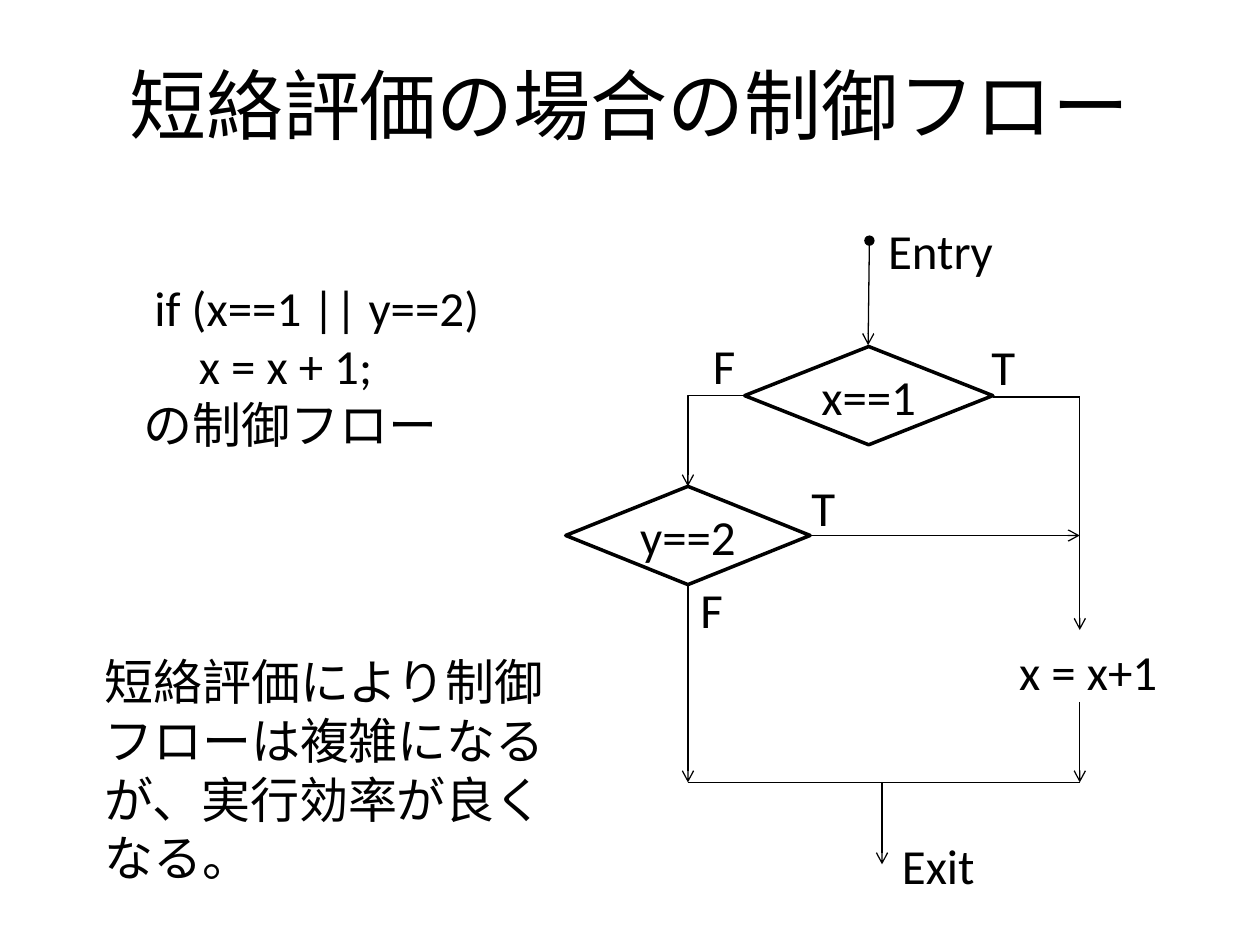
from dataclasses import dataclass

from lxml import etree
from pptx import Presentation
from pptx.dml.color import RGBColor
from pptx.enum.shapes import MSO_CONNECTOR, MSO_SHAPE
from pptx.enum.text import MSO_ANCHOR, MSO_AUTO_SIZE, PP_ALIGN
from pptx.oxml.ns import qn
from pptx.util import Inches, Pt

STRAIGHT, ELBOW = MSO_CONNECTOR.STRAIGHT, MSO_CONNECTOR.ELBOW
DIAMOND = MSO_SHAPE.DIAMOND
LEFT, CENTER = PP_ALIGN.LEFT, PP_ALIGN.CENTER
TOP, MIDDLE = MSO_ANCHOR.TOP, MSO_ANCHOR.MIDDLE
FIT_SHAPE, NO_FIT = MSO_AUTO_SIZE.SHAPE_TO_FIT_TEXT, MSO_AUTO_SIZE.NONE
SITE_TOP, SITE_LEFT = 0, 1
TITLE_ONLY = 5


@dataclass(frozen=True)
class Theme:
    font: str = "Calibri"
    ink: RGBColor = RGBColor(0, 0, 0)
    title_size: float = 44
    body_size: float = 28
    flow_width: float = 0.75
    decision_width: float = 2


@dataclass(frozen=True)
class Block:
    text: str
    left: float
    top: float
    width: float
    height: float = 0.57
    wrap: bool = False


@dataclass(frozen=True)
class Flow:
    x1: float
    y1: float
    x2: float
    y2: float
    head: str = ""
    tail: str = "arrow"


THEME = Theme()
TRUE_X, FALSE_X = 8.57, 5.46
FIRST_Y, SECOND_Y, JOIN_Y = 3.15, 4.25, 6.21

TITLE = Block("短絡評価の場合の制御フロー", 0.5, 0.3, 9, 1.04)
FIRST_TEST = Block("x==1", 5.91, 2.75, 1.97, 0.78)
SECOND_TEST = Block("y==2", 4.49, 3.86, 1.94, 0.78)

BLOCKS = (
    Block(" if (x==1 || y==2)\n     x = x + 1;\nの制御フロー", 1.04, 2.15, 2.99, 1.51),
    Block("Entry", 6.95, 1.7, 1.06),
    Block("F", 5.56, 2.61, 0.38),
    Block("T", 7.77, 2.62, 0.39),
    Block("T", 6.34, 3.74, 0.39),
    Block("F", FALSE_X, 4.55, 0.38),
    Block("x = x+1", 7.99, 5.04, 1.31),
    Block("Exit", 7.06, 6.58, 0.79),
    Block("短絡評価により制御フローは複雑になるが、実行効率が良くなる。",
          0.73, 5.12, 3.91, 1.51, wrap=True),
)

FLOWS = (
    Flow(6.9, 1.91, 6.89, 2.74, head="oval"),
    Flow(7.88, FIRST_Y, TRUE_X, FIRST_Y, tail=""),
    Flow(TRUE_X, FIRST_Y, TRUE_X, 5),
    Flow(6.43, SECOND_Y, TRUE_X, SECOND_Y),
    Flow(FALSE_X, 4.64, FALSE_X, JOIN_Y),
    Flow(TRUE_X, 5.57, TRUE_X, JOIN_Y),
    Flow(FALSE_X, JOIN_Y, TRUE_X, JOIN_Y, tail=""),
    Flow(7, JOIN_Y, 7, 6.86),
)


def bounds(block: Block) -> tuple:
    return tuple(map(Inches, (block.left, block.top, block.width, block.height)))


def write_text(frame, text: str, *, size: float = THEME.body_size,
               align=LEFT, anchor=TOP, wrap: bool = True, fit=NO_FIT) -> None:
    frame.word_wrap = wrap
    frame.auto_size = fit
    frame.vertical_anchor = anchor
    for index, line in enumerate(text.split("\n")):
        para = frame.add_paragraph() if index else frame.paragraphs[0]
        para.alignment = align
        span = para.add_run()
        span.text = line
        span.font.name = THEME.font
        span.font.size = Pt(size)
        span.font.color.rgb = THEME.ink


def add_title(page, block: Block) -> None:
    title = page.shapes.title
    title.left, title.top, title.width, title.height = bounds(block)
    write_text(title.text_frame, block.text, size=THEME.title_size,
               align=CENTER, anchor=MIDDLE)


def add_block(page, block: Block) -> None:
    box = page.shapes.add_textbox(*bounds(block))
    write_text(box.text_frame, block.text, wrap=block.wrap, fit=FIT_SHAPE)


def add_decision(page, block: Block):
    diamond = page.shapes.add_shape(DIAMOND, *bounds(block))
    diamond.shadow.inherit = False
    diamond.fill.background()
    diamond.line.color.rgb = THEME.ink
    diamond.line.width = Pt(THEME.decision_width)
    write_text(diamond.text_frame, block.text, align=CENTER, anchor=MIDDLE)
    return diamond


def add_flow(page, flow: Flow, kind=STRAIGHT):
    ends = map(Inches, (flow.x1, flow.y1, flow.x2, flow.y2))
    connector = page.shapes.add_connector(kind, *ends)
    connector.line.color.rgb = THEME.ink
    connector.line.width = Pt(THEME.flow_width)
    properties = connector._element.spPr
    line = properties.find(qn("a:ln"))
    for tag, style in (("a:headEnd", flow.head), ("a:tailEnd", flow.tail)):
        if style:
            etree.SubElement(line, qn(tag), type=style)
    etree.SubElement(properties, qn("a:effectLst"))
    return connector


def add_false_branch(page, first, second) -> None:
    """Join the left corner of one decision to the top of the next with one bend."""
    branch = add_flow(page, Flow(5.91, FIRST_Y, FALSE_X, 3.86), ELBOW)
    branch.begin_connect(first, SITE_LEFT)
    branch.end_connect(second, SITE_TOP)
    geometry = branch._element.spPr.find(qn("a:prstGeom"))
    geometry.set("prst", "bentConnector2")


def main() -> None:
    deck = Presentation()
    deck.slide_width, deck.slide_height = Inches(10), Inches(7.5)
    page = deck.slides.add_slide(deck.slide_layouts[TITLE_ONLY])
    add_title(page, TITLE)
    first = add_decision(page, FIRST_TEST)
    second = add_decision(page, SECOND_TEST)
    add_false_branch(page, first, second)
    for flow in FLOWS:
        add_flow(page, flow)
    for block in BLOCKS:
        add_block(page, block)
    deck.save("out.pptx")


if __name__ == "__main__":
    main()
